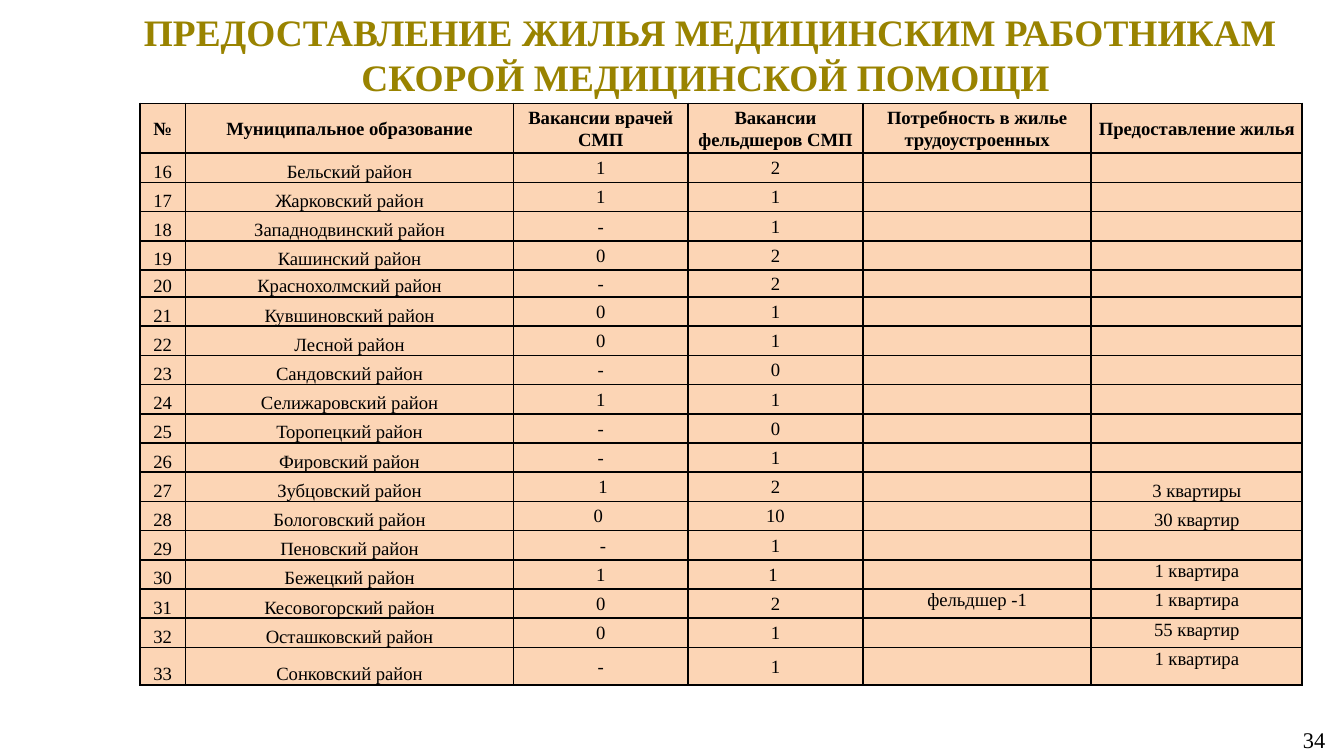
import pptx
import pptx.dml.color
import pptx.enum.text
import pptx.oxml
import pptx.oxml.ns
import pptx.util

ALIGN = pptx.enum.text.PP_ALIGN
ANCHOR = pptx.enum.text.MSO_ANCHOR
FONT = "Times New Roman"
BLACK, GOLD, PEACH = "000000", "998300", "FCD5B5"
SLIDE_WIDTH = 10
SLIDE_HEIGHT = SLIDE_WIDTH * 9 / 16

# Content
TITLE = " ПРЕДОСТАВЛЕНИЕ ЖИЛЬЯ МЕДИЦИНСКИМ РАБОТНИКАМ СКОРОЙ МЕДИЦИНСКОЙ ПОМОЩИ"
PAGE_NUMBER = "34"
HEADER = ("№", "Муниципальное образование", "Вакансии врачей СМП",
          "Вакансии фельдшеров СМП", "Потребность в жилье трудоустроенных",
          "Предоставление жилья")
FIRST_NUMBER = 16
# District, doctor vacancies, paramedic vacancies, housing needed, housing provided
DISTRICTS = [
    ("Бельский район", "1", "2", "", ""),
    ("Жарковский район", "1", "1", "", ""),
    ("Западнодвинский район", "-", "1", "", ""),
    ("Кашинский район", "0", "2", "", ""),
    ("Краснохолмский район", "-", "2", "", ""),
    ("Кувшиновский район", "0", "1", "", ""),
    ("Лесной район", "0", "1", "", ""),
    ("Сандовский район", "-", "0", "", ""),
    ("Селижаровский район", "1", "1", "", ""),
    ("Торопецкий район", "-", "0", "", ""),
    ("Фировский район", "-", "1", "", ""),
    ("Зубцовский район", " 1", "2", "", "3 квартиры"),
    ("Бологовский район", "0 ", "10", "", "30 квартир"),
    ("Пеновский район", " -", "1", "", ""),
    ("Бежецкий район", "1", "1 ", "", "1 квартира"),
    ("Кесовогорский район", "0", "2", "фельдшер -1", "1 квартира"),
    ("Осташковский район", "0", "1", "", "55 квартир"),
    ("Сонковский район", "-", "1", "", "1 квартира"),
]

# Table grid, in inches
TABLE_LEFT, TABLE_TOP, TABLE_HEIGHT = 1.04, 0.77, 4.33
COLUMN_WIDTHS = (0.34, 2.44, 1.3, 1.3, 1.7, 1.57)
SPECIAL_HEIGHTS = {0: 0.37, 5: 0.2, len(DISTRICTS): 0.28}
BODY_ANCHORS = (ANCHOR.BOTTOM, ANCHOR.BOTTOM, ANCHOR.MIDDLE, ANCHOR.MIDDLE,
                ANCHOR.TOP, ANCHOR.TOP)
BOTTOM_HOUSING_ROWS = (12, 13)


def color(value):
    return pptx.dml.color.RGBColor.from_string(value)


def inches(*values):
    return [pptx.util.Inches(value) for value in values]


def format_paragraph(paragraph, size, alignment, text_color=BLACK, bold=False):
    paragraph.alignment = alignment
    font = paragraph.font
    font.name, font.size, font.bold = FONT, pptx.util.Pt(size), bold
    font.color.rgb = color(text_color)


def add_borders(cell):
    properties = cell._tc.get_or_add_tcPr()
    for side in ("lnL", "lnR", "lnT", "lnB"):
        properties.append(pptx.oxml.parse_xml(
            f'<a:{side} {pptx.oxml.ns.nsdecls("a")} w="12700"><a:solidFill>'
            f'<a:srgbClr val="{BLACK}"/></a:solidFill></a:{side}>'))


def fill_cell(cell, text, anchor, bold):
    cell.margin_left = cell.margin_right = cell.margin_top = cell.margin_bottom = 0
    cell.vertical_anchor = anchor
    add_borders(cell)
    cell.fill.solid()
    cell.fill.fore_color.rgb = color(PEACH)
    cell.text = text
    paragraph = cell.text_frame.paragraphs[0]
    paragraph.line_spacing = 1.07
    paragraph.space_after = pptx.util.Pt(8)
    format_paragraph(paragraph, 10, ALIGN.CENTER, bold=bold)
    if not text:  # keeps empty cells from stretching their row
        paragraph._p.append(pptx.oxml.parse_xml(
            f'<a:endParaRPr {pptx.oxml.ns.nsdecls("a")} sz="1000"/>'))


presentation = pptx.Presentation()
presentation.slide_width, presentation.slide_height = inches(SLIDE_WIDTH, SLIDE_HEIGHT)
slide = presentation.slides.add_slide(presentation.slide_layouts[5])

# Title
title = slide.shapes.title
title.left, title.top, title.width, title.height = inches(0.88, 0.11, 8.74, 0.58)
title.text_frame.text = TITLE
title.text_frame.auto_size = pptx.enum.text.MSO_AUTO_SIZE.NONE
title.text_frame.vertical_anchor = ANCHOR.MIDDLE
format_paragraph(title.text_frame.paragraphs[0], 20, ALIGN.CENTER, GOLD, True)

# Page number
page_box = slide.shapes.add_textbox(*inches(7.63, 5.35, 2.33, 0.3))
page_box.text_frame.word_wrap = True
page_box.text_frame.vertical_anchor = ANCHOR.MIDDLE
page_box.text_frame.text = PAGE_NUMBER
format_paragraph(page_box.text_frame.paragraphs[0], 12, ALIGN.RIGHT)

# Table
rows = [HEADER] + [(str(number), *district)
                   for number, district in enumerate(DISTRICTS, FIRST_NUMBER)]
table = slide.shapes.add_table(
    len(rows), len(HEADER),
    *inches(TABLE_LEFT, TABLE_TOP, sum(COLUMN_WIDTHS), TABLE_HEIGHT)).table
for column, width in zip(table.columns, COLUMN_WIDTHS):
    column.width = pptx.util.Inches(width)
regular_height = ((TABLE_HEIGHT - sum(SPECIAL_HEIGHTS.values()))
                  / (len(rows) - len(SPECIAL_HEIGHTS)))
for row_index, row in enumerate(rows):
    table.rows[row_index].height = pptx.util.Inches(
        SPECIAL_HEIGHTS.get(row_index, regular_height))
    for column_index, text in enumerate(row):
        anchor = BODY_ANCHORS[column_index]
        if row_index == 0:
            anchor = ANCHOR.MIDDLE
        elif row_index in BOTTOM_HOUSING_ROWS and column_index == len(HEADER) - 1:
            anchor = ANCHOR.BOTTOM
        fill_cell(table.cell(row_index, column_index), text, anchor, row_index == 0)

presentation.save("out.pptx")
